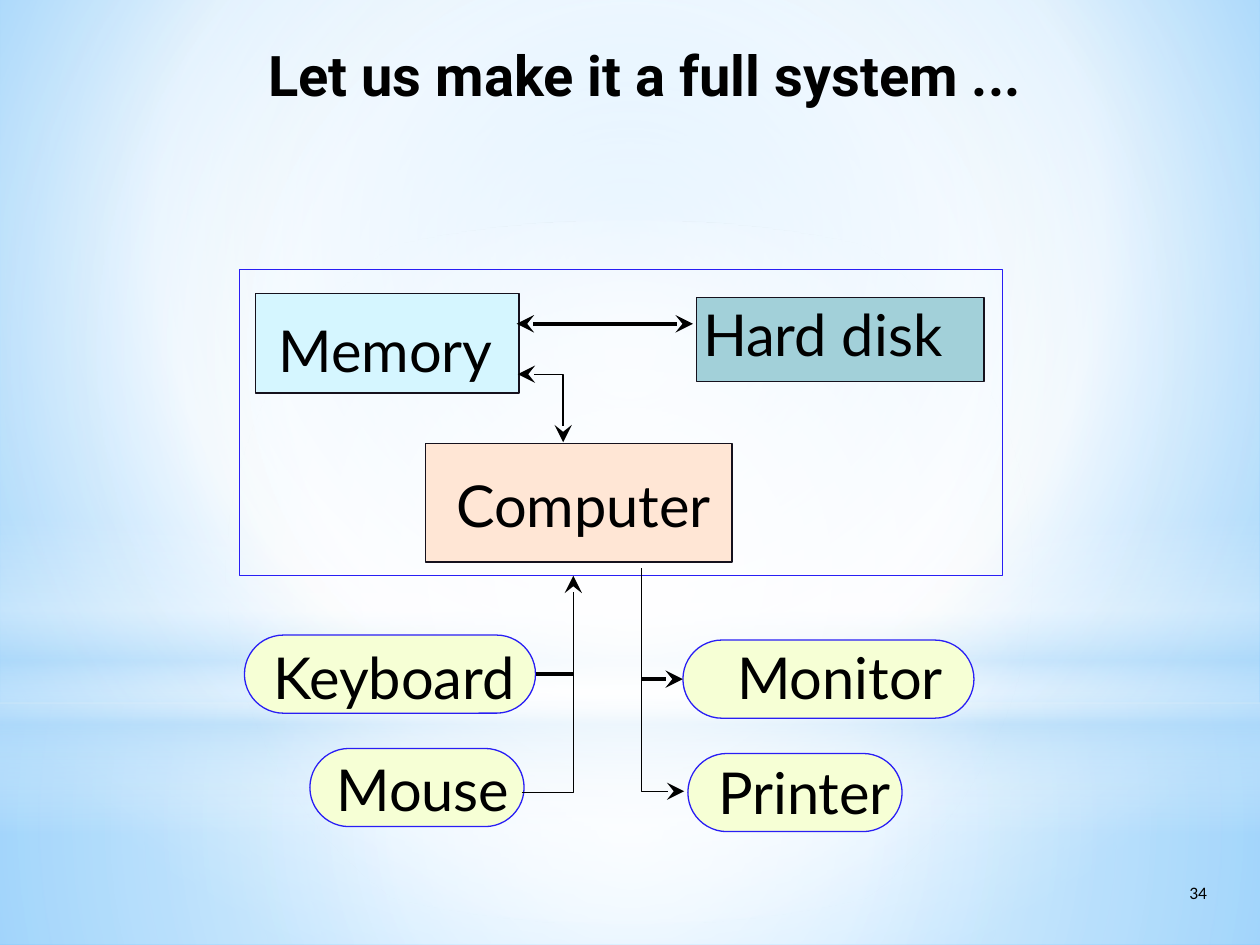
from lxml import etree
from pptx import Presentation, util as u
from pptx.dml.color import RGBColor
from pptx.enum import shapes, text
from pptx.oxml import ns

PX = 9144
KIND = shapes.MSO_SHAPE
HUES = {
    "ink": "000000", "edge": "15111D", "blue": "291EF5",
    "disk": "A2D0D9", "core": "FFE6D5", "store": "D5F6FF", "pill": "F6FFD5",
    "white": "FFFFFF", "mist": "B4DCFA", "sky": "9ED5FF", "deep": "5BB9FF",
}
MID = (50, 50, 50, 50)


def px(*nums):
    """Turn px lengths into EMU."""
    return [u.Emu(round(n * PX)) for n in nums]


def rgb(name):
    """Look up a named colour."""
    return RGBColor.from_string(HUES[name])


def sub(node, tag, **attrs):
    """Add a drawing element with its attributes."""
    return etree.SubElement(node, ns.qn("a:" + tag), {k: str(v) for k, v in attrs.items()})


def glow(owner, stops, focus=None):
    """Swap the solid fill for a gradient, round a focus or top to bottom."""
    solid = owner.element.xpath(".//a:solidFill")[0]
    grad = etree.Element(ns.qn("a:gradFill"), rotWithShape="1")
    row = sub(grad, "gsLst")
    for pos, hue, alpha in stops:
        stop = sub(row, "gs", pos=pos * 1000)
        tint = sub(stop, "srgbClr", val=HUES[hue])
        if alpha < 100:
            sub(tint, "alpha", val=alpha * 1000)
    if focus:
        way = sub(grad, "path", path="circle")
        sub(way, "fillToRect", **{k: v * 1000 for k, v in zip("ltrb", focus)})
    else:
        sub(grad, "lin", ang=90 * 60000, scaled=0)
    solid.getparent().replace(solid, grad)


def write(frame, words, size=33, font="Lato", bold=False, inset=0, align=None,
          anchor=text.MSO_ANCHOR.TOP):
    """Set a frame's text and its format."""
    frame.word_wrap = True
    frame.auto_size = text.MSO_AUTO_SIZE.NONE
    frame.vertical_anchor = anchor
    frame.margin_left = frame.margin_right = px(inset)[0]
    frame.margin_top = frame.margin_bottom = px(inset / 2)[0]
    para = frame.paragraphs[0]
    para.alignment = align
    run = para.add_run()
    run.text = words
    run.font.size, run.font.name, run.font.bold = u.Pt(size), font, bold
    run.font.color.rgb = rgb("ink")
    return para


def label(slide, words, box, **form):
    """Place a text box."""
    write(slide.shapes.add_textbox(*px(*box)).text_frame, words, **form)


def block(slide, kind, box, fill=None, edge=None):
    """Place a flat preset shape."""
    item = slide.shapes.add_shape(kind, *px(*box))
    item.shadow.inherit = False
    if fill:
        item.fill.solid()
        item.fill.fore_color.rgb = rgb(fill)
    else:
        item.fill.background()
    if edge:
        item.line.color.rgb = rgb(edge)
        item.line.width = 0
    else:
        item.line.fill.background()
    return item


def ink(item, head=False, tail=False):
    """Draw a line as a hairline with arrowheads at its ends."""
    item.line.color.rgb = rgb("ink")
    item.line.width = 0
    line = item.element.xpath(".//a:ln")[0]
    for tag, shown in (("headEnd", head), ("tailEnd", tail)):
        if shown:
            sub(line, tag, type="stealth", w="lg", len="lg")


def wire(slide, start, end, **ends):
    """Connect two points."""
    item = slide.shapes.add_connector(shapes.MSO_CONNECTOR.STRAIGHT, *px(*start, *end))
    ink(item, **ends)
    sub(item.element.spPr, "effectLst")
    return item


def route(slide, points, **ends):
    """Draw an open line through several points."""
    pen = slide.shapes.build_freeform(*points[0], scale=PX)
    pen.add_line_segments(points[1:], close=False)
    item = pen.convert_to_shape()
    item.shadow.inherit = False
    item.fill.background()
    ink(item, **ends)


def backdrop(slide, wide):
    """Paint the sky and its soft layers."""
    slide.background.fill.solid()
    glow(slide, [(0, "sky", 100), (60, "white", 100), (100, "deep", 100)], (20, 10, 20, 60))
    layers = [
        (KIND.RECTANGLE, 558, 192, MID,
         [(0, "white", 91), (37, "white", 76), (100, "mist", 79)]),
        (KIND.RECTANGLE, 0, 558, MID,
         [(0, "white", 89), (48, "white", 62), (100, "mist", 79)]),
        (KIND.RECTANGLE, 412, 250, None,
         [(0, "white", 0), (29, "white", 30), (45, "mist", 40),
          (55, "white", 26), (65, "mist", 60), (100, "white", 0)]),
        (KIND.OVAL, 175, 558, MID, [(0, "white", 100), (56, "white", 0)]),
    ]
    for kind, top, high, focus, stops in layers:
        glow(block(slide, kind, (0, top, wide, high), "white"), stops, focus)


def heading(slide, box, words):
    """Place the title over the backdrop."""
    title = slide.shapes.title
    slide.shapes.element.append(title.element)
    title.left, title.top, title.width, title.height = px(*box)
    para = write(title.text_frame, words, size=32, font="Roboto", bold=True,
                 align=text.PP_ALIGN.RIGHT, anchor=text.MSO_ANCHOR.MIDDLE)
    prop = para._p.get_or_add_pPr()
    prop.set("marL", str(35 * PX))
    prop.set("indent", str(-35 * PX))


def case(slide, box):
    """Draw the frame with memory, disk and computer."""
    x, y = box[:2]
    block(slide, KIND.RECTANGLE, box, edge="blue")
    parts = [
        ("Hard disk", "disk", (363, 22, 228, 67), (368, 23, 213, 56)),
        ("Computer", "core", (148, 138, 243, 94), (172, 159, 222, 61)),
        ("Memory", "store", (13, 19, 209, 79), (31, 36, 186, 61)),
    ]
    for words, fill, (a, b, *size), (c, d, *room) in parts:
        block(slide, KIND.RECTANGLE, (x + a, y + b, *size), fill, "edge")
        label(slide, words, (x + c, y + d, *room))
    route(slide, [(x + 221, y + 83), (x + 257, y + 83), (x + 257, y + 137)],
          head=True, tail=True)
    wire(slide, (x + 220, y + 43), (x + 360, y + 43), head=True, tail=True)


def pills(slide, x, y, items):
    """Draw one column of devices and return their shapes."""
    made = []
    for words, a, b, wide, c, d, room in items:
        item = block(slide, KIND.ROUNDED_RECTANGLE, (x + a, y + b, wide, 62), "pill", "blue")
        item.adjustments[0] = 0.5
        label(slide, words, (x + c, y + d, room, 61))
        made.append(item)
    return made


def inputs(slide, x, y):
    """Draw the input devices and their line up to the case."""
    keys = pills(slide, x, y, [("Keyboard", 0, 47, 231, 23, 52, 216),
                               ("Mouse", 52, 137, 170, 73, 141, 158)])[0]
    wire(slide, (x + 231, y + 78), (x + 261, y + 78)).begin_connect(keys, 3)
    route(slide, [(x + 220, y + 172), (x + 261, y + 172), (x + 261, y)], tail=True)


def outputs(slide, x, y):
    """Draw the output devices and their line down from the case."""
    screen = pills(slide, x, y, [("Monitor", 33, 51, 231, 76, 52, 173),
                                 ("Printer", 37, 141, 170, 61, 144, 155)])[0]
    route(slide, [(x, y - 6), (x, y + 171), (x + 34, y + 171)], tail=True)
    wire(slide, (x, y + 82), (x + 33, y + 82), tail=True).end_connect(screen, 1)


def main():
    """Build the slide and save it."""
    deck = Presentation()
    deck.slide_width, deck.slide_height = px(1000, 750)
    slide = deck.slides.add_slide(deck.slide_layouts[5])
    backdrop(slide, 1000)
    heading(slide, (0, 8, 811, 102), "Let us make it a full system ...")
    case(slide, (190, 214, 606, 243))
    inputs(slide, 194, 457)
    outputs(slide, 509, 457)
    label(slide, "34", (934, 695, 61, 40), size=10, font="Calibri", inset=10)
    deck.save("out.pptx")


if __name__ == "__main__":
    main()
